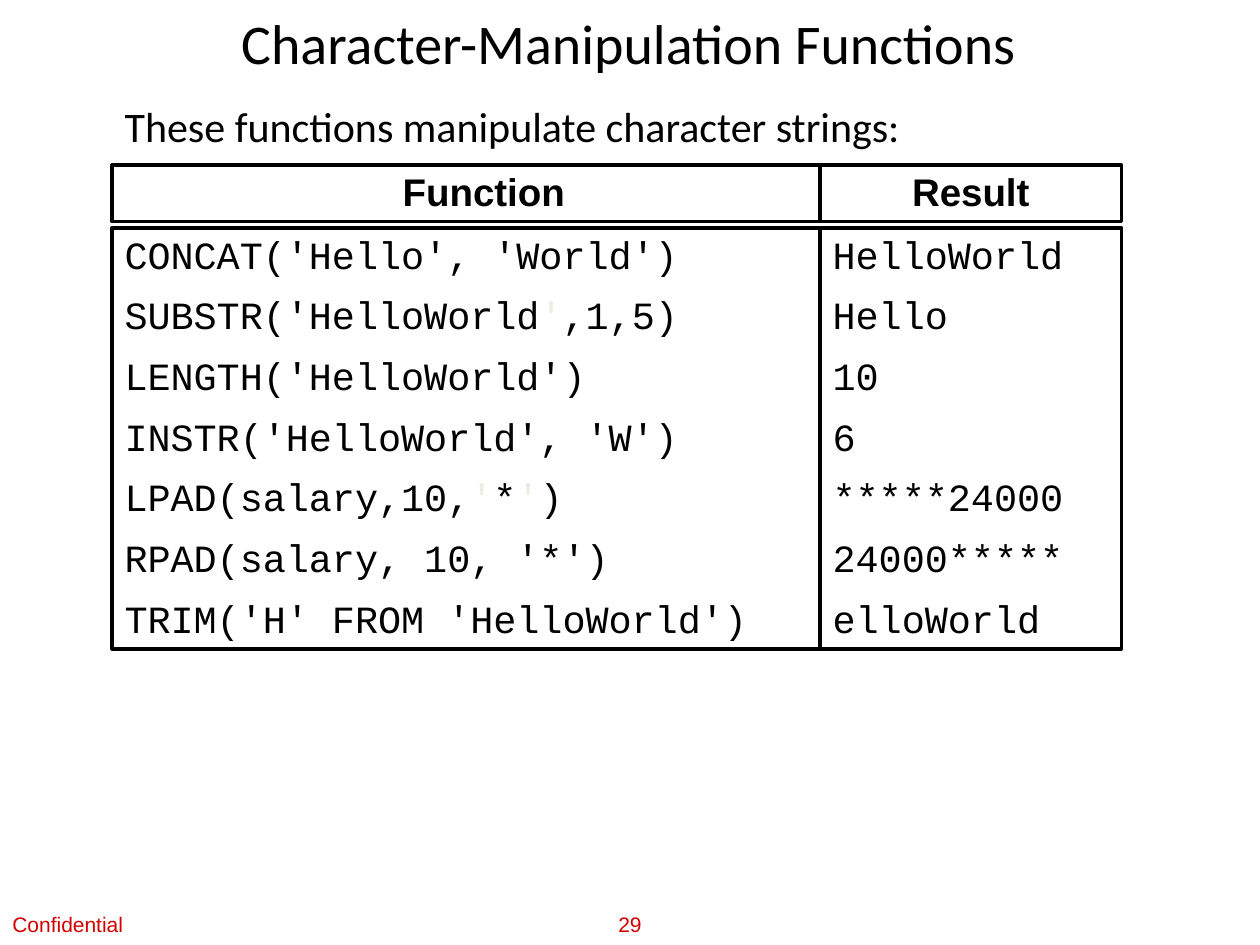
from pptx import Presentation
from pptx import util as u
from pptx.dml.color import RGBColor
from pptx.enum import shapes, text

COLORS = {"ink": "000000", "paper": "FFFFFF", "faint": "EEECE1", "footer": "D20000"}
COLUMNS, ROWS = 100, 75

FUNCTIONS = [
    (["CONCAT('Hello', 'World')"], "HelloWorld"),
    (["SUBSTR('HelloWorld", "'", ",1,5)"], "Hello"),
    (["LENGTH('HelloWorld')"], "10"),
    (["INSTR('HelloWorld', 'W')"], "6"),
    (["LPAD(salary,10,", "'", "*", "'", ")"], "*****24000"),
    (["RPAD(salary, 10, '*')"], "24000*****"),
    (["TRIM('H' FROM 'HelloWorld')"], "elloWorld"),
]


class SlideBuilder:
    def __init__(self, deck):
        self.slide = deck.slides.add_slide(deck.slide_layouts[6])
        self.column = deck.slide_width / COLUMNS
        self.row = deck.slide_height / ROWS

    def color(self, name):
        return RGBColor.from_string(COLORS[name])

    def place(self, left, top, width, height):
        return [round(left * self.column), round(top * self.row),
                round(width * self.column), round(height * self.row)]

    def add_lines(self, frame, lines, font, size, color="ink", bold=False,
                  align=text.PP_ALIGN.LEFT, spacing=None, gap=0):
        frame.word_wrap = True
        for index, pieces in enumerate(lines):
            paragraph = frame.paragraphs[0] if index == 0 else frame.add_paragraph()
            paragraph.alignment = align
            if spacing:
                paragraph.line_spacing = spacing
            paragraph.space_before = u.Pt(gap if index else 0)
            paragraph.font.name = font
            paragraph.font.size = u.Pt(size)
            paragraph.font.bold = bold
            paragraph.font.color.rgb = self.color(color)
            for position, piece in enumerate(pieces):
                run = paragraph.add_run()
                run.text = piece
                if position % 2:
                    run.font.color.rgb = self.color("faint")

    def label(self, area, words, font, size, anchor=text.MSO_ANCHOR.TOP, **style):
        frame = self.slide.shapes.add_textbox(*self.place(*area)).text_frame
        frame.vertical_anchor = anchor
        self.add_lines(frame, [[words]], font, size, **style)

    def panel(self, area, lines, font, **style):
        box = self.slide.shapes.add_shape(shapes.MSO_SHAPE.RECTANGLE, *self.place(*area))
        box.shadow.inherit = False
        box.fill.solid()
        box.fill.fore_color.rgb = self.color("paper")
        box.line.color.rgb = self.color("ink")
        box.line.width = u.Pt(2)
        box.text_frame.vertical_anchor = text.MSO_ANCHOR.TOP
        box.text_frame.auto_size = text.MSO_AUTO_SIZE.SHAPE_TO_FIT_TEXT
        self.add_lines(box.text_frame, lines, font, 22, spacing=0.95, gap=9.6, **style)


def main():
    deck = Presentation()
    deck.slide_width, deck.slide_height = u.Inches(10), u.Inches(7.5)
    builder = SlideBuilder(deck)
    center = text.PP_ALIGN.CENTER
    middle = text.MSO_ANCHOR.MIDDLE

    function_left, result_left, result_width = 8.9, 65.1, 23.9
    body_top, body_height = 18.1, 33.4
    header_top, header_height = 13.1, 4.5

    calls = [call for call, _ in FUNCTIONS]
    results = [[result] for _, result in FUNCTIONS]
    builder.panel((function_left, body_top, 56.6, body_height), calls, "Courier New")
    builder.panel((result_left, body_top, result_width, body_height), results, "Courier New")
    for heading, left, width in [("Function", function_left, 59),
                                 ("Result", result_left, result_width)]:
        builder.panel((left, header_top, width, header_height), [[heading]],
                      "Arial", bold=True, align=center)

    builder.label((9.4, 0.2, 81, 5.6), "Character-Manipulation Functions",
                  "Calibri", 32, align=center)
    builder.label((function_left, 7.5, 80.8, 4.5),
                  "These functions manipulate character strings:", "Calibri", 24)
    builder.label((0, 71.7, 13.3, 3.3), "Confidential", "Arial", 12,
                  anchor=middle, color="footer")
    builder.label((42.5, 71.7, 15, 3.3), "29", "Arial", 12,
                  anchor=middle, color="footer", align=center)

    deck.save("out.pptx")


if __name__ == "__main__":
    main()
